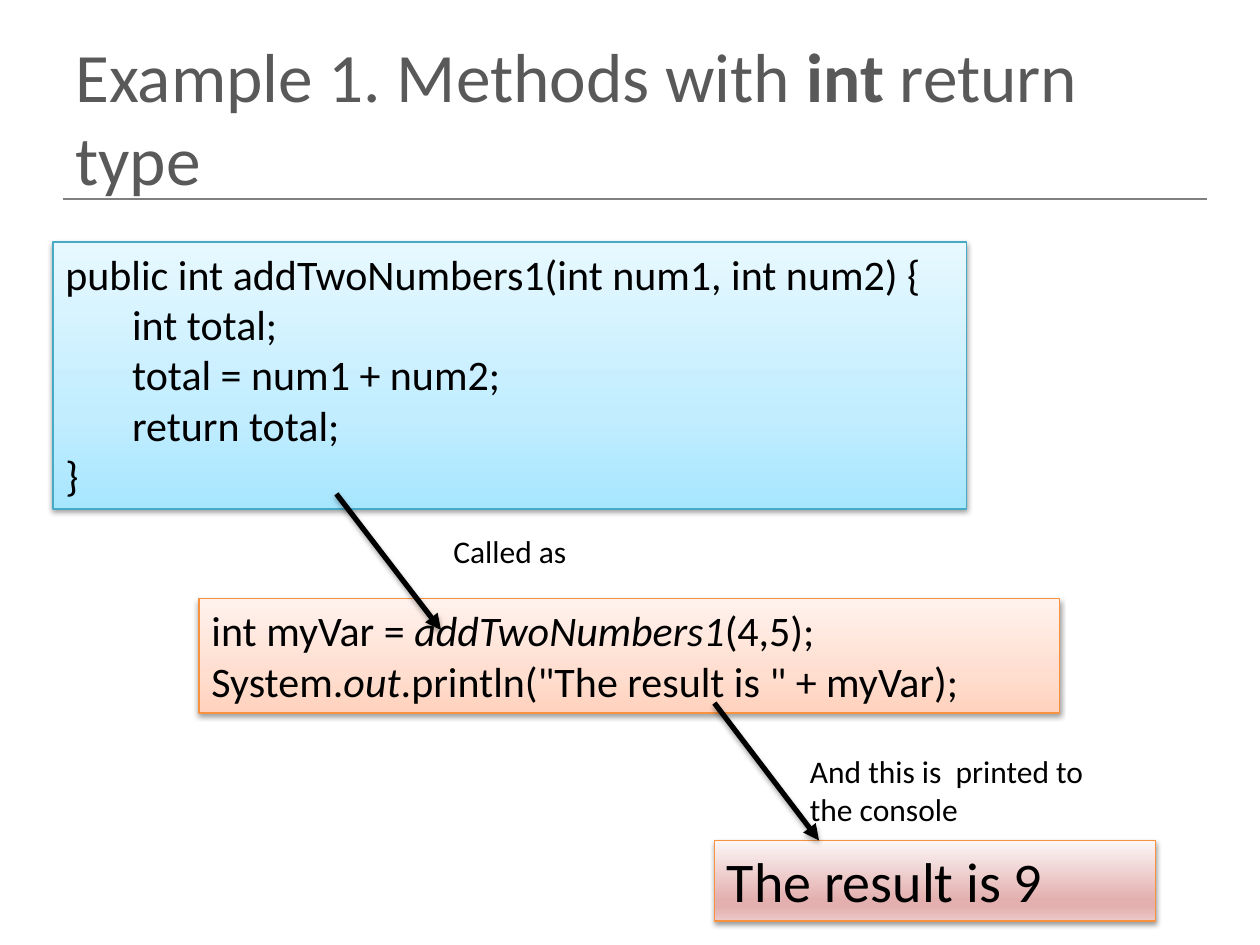
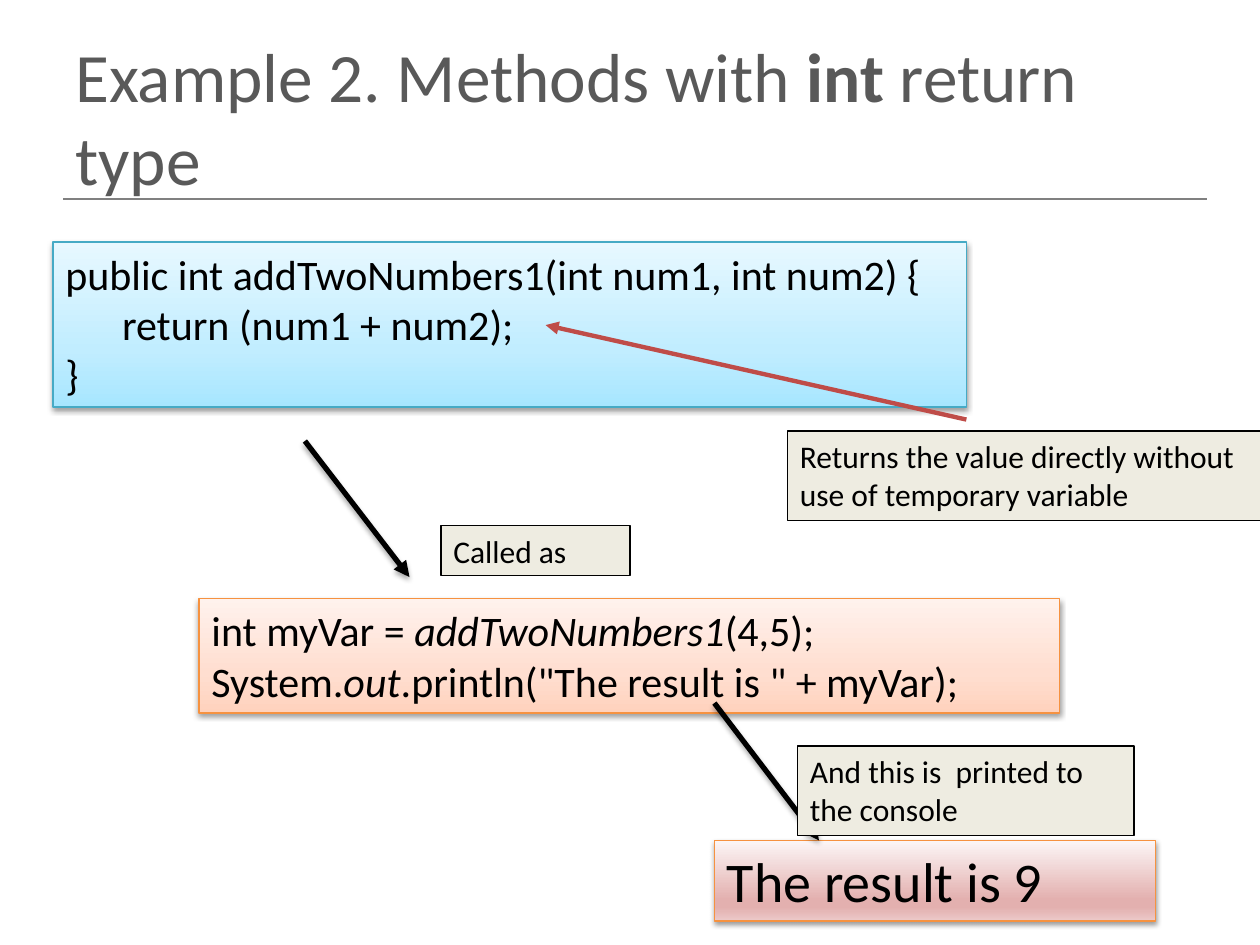
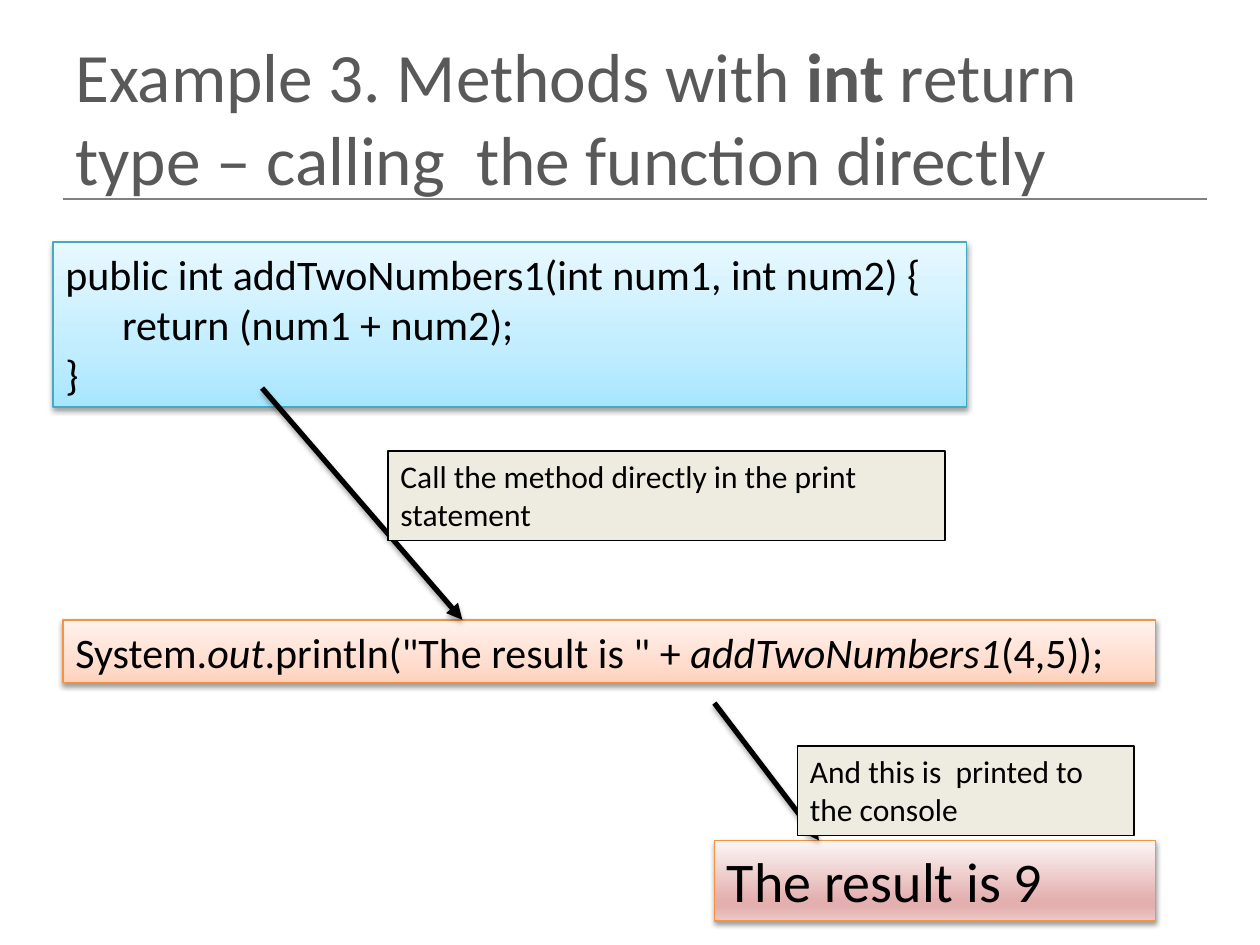
from lxml.etree import SubElement
from pptx import Presentation
from pptx.dml.color import RGBColor
from pptx.enum.shapes import MSO_CONNECTOR, MSO_SHAPE
from pptx.enum.text import MSO_ANCHOR, MSO_AUTO_SIZE, PP_ALIGN
from pptx.oxml.ns import qn
from pptx.util import Inches, Pt

# Shared look
FONT = "Calibri"
BLACK = RGBColor(0x00, 0x00, 0x00)
TITLE_GREY = RGBColor(0x59, 0x59, 0x59)
RULE_GREY = RGBColor(0x80, 0x80, 0x80)
NOTE_FILL = RGBColor(0xEE, 0xEC, 0xE1)
BLUE_LINE = RGBColor(0x46, 0xAA, 0xC5)
ORANGE_LINE = RGBColor(0xF6, 0x92, 0x40)
RED_LINE = RGBColor(0xBF, 0x4C, 0x48)

# Gradients: angle in degrees and (position in percent, colour) stops
BLUE_GRADIENT = 270, [(0, "A7E6FF"), (35, "C1EDFF"), (100, "E7F8FF")]
ORANGE_GRADIENT = 270, [(0, "FFD2BD"), (35, "FFDED0"), (100, "FFF2ED")]
RED_GRADIENT = 90, [(0, "FCF6F6"), (74, "E3B0AF"), (83, "E3B0AF"), (100, "ECCACA")]

# Code shared by the examples; asterisks enclose emphasised words
SIGNATURE = "public int addTwoNumbers1(int num1, int num2) {"
SHORT_METHOD = [SIGNATURE, "\treturn (num1 + num2);", "}"]
LONG_METHOD = [SIGNATURE, "\tint total;", "\ttotal = num1 + num2;", "\treturn total;", "}"]
CALL_WITH_VARIABLE = [
    "int myVar = *addTwoNumbers1*(4,5);",
    'System.*out*.println("The result is " + myVar);',
]
DIRECT_CALL = ['System.*out*.println("The result is " + *addTwoNumbers1*(4,5));']


def add_runs(paragraph, text, size, color=BLACK, emphasis="italic"):
    """Add text run by run, emphasising what stands between asterisks."""
    for index, part in enumerate(text.split("*")):
        run = paragraph.add_run()
        run.text = part
        run.font.name, run.font.size = FONT, Pt(size)
        run.font.color.rgb = color
        if index % 2:
            setattr(run.font, emphasis, True)


def write_lines(shape, lines, size, indent=0.0):
    """Write one paragraph per line; a leading tab asks for the indent."""
    frame = shape.text_frame
    frame.word_wrap = True
    frame.auto_size = MSO_AUTO_SIZE.SHAPE_TO_FIT_TEXT
    frame.vertical_anchor = MSO_ANCHOR.TOP
    for index, line in enumerate(lines):
        paragraph = frame.add_paragraph() if index else frame.paragraphs[0]
        paragraph.alignment = PP_ALIGN.LEFT
        if line.startswith("\t"):
            paragraph._p.get_or_add_pPr().set("marL", str(Inches(indent)))
        add_runs(paragraph, line.lstrip("\t"), size)


def add_gradient(shape, gradient):
    angle, stops = gradient
    fill = SubElement(shape.element.spPr, qn("a:gradFill"), rotWithShape="1")
    stop_list = SubElement(fill, qn("a:gsLst"))
    for position, color in stops:
        stop = SubElement(stop_list, qn("a:gs"), pos=str(position * 1000))
        SubElement(stop, qn("a:srgbClr"), val=color)
    SubElement(fill, qn("a:lin"), ang=str(angle * 60000), scaled="0")


def add_shadow(effects, distance, opacity):
    shadow = SubElement(effects, qn("a:outerShdw"), blurRad=str(Pt(3.1)),
                        dist=str(Pt(distance)), dir="5400000", rotWithShape="0")
    color = SubElement(shadow, qn("a:srgbClr"), val="000000")
    SubElement(color, qn("a:alpha"), val=str(opacity * 1000))


def add_box(slide, place, lines, size, line_color, gradient=None, indent=0.0):
    """Add a shadowed gradient box, or a plain note when no gradient is given."""
    box = slide.shapes.add_shape(MSO_SHAPE.RECTANGLE, *map(Inches, place))
    if gradient:
        add_gradient(box, gradient)
    else:
        box.fill.solid()
        box.fill.fore_color.rgb = NOTE_FILL
    box.line.color.rgb, box.line.width = line_color, Pt(0.75)
    box.shadow.inherit = False
    if gradient:
        add_shadow(box.element.spPr.find(qn("a:effectLst")), 1.6, 38)
    write_lines(box, lines, size, indent)


def add_line(slide, start, end, color, width):
    line = slide.shapes.add_connector(MSO_CONNECTOR.STRAIGHT, *map(Inches, start + end))
    line.line.color.rgb, line.line.width = color, Pt(width)
    effects = SubElement(line.element.spPr, qn("a:effectLst"))
    return line, effects


def add_arrow(slide, start, end, color=BLACK, width=3, shadow=True):
    arrow, effects = add_line(slide, start, end, color, width)
    SubElement(arrow.element.spPr.find(qn("a:ln")), qn("a:tailEnd"), type="triangle")
    if shadow:
        add_shadow(effects, 1.8, 35)


def add_note(slide, place, text):
    add_box(slide, place, [text], 18, BLACK)


def add_label(slide, place, text):
    label = slide.shapes.add_textbox(*map(Inches, place))
    write_lines(label, [text], 18)


def add_example(presentation, title, call_place, call, method_height, method, indent):
    """Start a slide with its title, rule, call, method and result boxes."""
    slide = presentation.slides.add_slide(presentation.slide_layouts[6])
    add_line(slide, (0.5, 1.58), (9.58, 1.58), RULE_GREY, 1)
    title_box = slide.shapes.add_textbox(*map(Inches, (0.5, 0.3, 9, 1.25)))
    frame = title_box.text_frame
    frame.word_wrap = True
    frame.vertical_anchor = MSO_ANCHOR.MIDDLE
    add_runs(frame.paragraphs[0], title, 39.6, TITLE_GREY, "bold")
    add_box(slide, call_place, call, 24, ORANGE_LINE, ORANGE_GRADIENT)
    add_box(slide, (0.42, 1.92, 7.25, method_height), method, 24,
            BLUE_LINE, BLUE_GRADIENT, indent)
    add_box(slide, (5.67, 6.67, 3.5, 0.64), ["The result is 9"], 32,
            ORANGE_LINE, RED_GRADIENT)
    return slide


def add_steps(slide, call_arrow, call_place, call_text, add_caption):
    """Add the arrows from method to call to result, with their captions."""
    add_arrow(slide, *call_arrow)
    add_caption(slide, call_place, call_text)
    add_arrow(slide, (5.67, 5.58), (6.5, 6.67))
    add_caption(slide, (6.33, 5.92, 2.67, 0.71), "And this is  printed to the console")


def main():
    presentation = Presentation()
    presentation.slide_width, presentation.slide_height = Inches(10), Inches(7.5)
    variable_call_place = (1.58, 4.75, 6.83, 0.91)
    called_as_place = (3.5, 4.17, 1.5, 0.4)

    # Example 1: temporary variable
    slide = add_example(presentation, "Example 1. Methods with *int* return type",
                        variable_call_place, CALL_WITH_VARIABLE, 2.12, LONG_METHOD, 0.53)
    add_steps(slide, ((2.67, 3.92), (3.5, 5)), called_as_place, "Called as", add_label)

    # Example 2: value returned directly
    slide = add_example(presentation, "Example 2. Methods with *int* return type",
                        variable_call_place, CALL_WITH_VARIABLE, 1.31, SHORT_METHOD, 0.45)
    add_steps(slide, ((2.42, 3.5), (3.25, 4.58)), called_as_place, "Called as", add_note)
    add_arrow(slide, (7.67, 3.33), (4.33, 2.58), RED_LINE, 2.5, shadow=False)
    add_note(slide, (6.25, 3.42, 3.92, 0.71),
             "Returns the value directly without use of temporary variable")

    # Example 3: method called in the print statement
    slide = add_example(
        presentation,
        "Example 3. Methods with *int* return type – calling  the function directly",
        (0.5, 4.92, 8.67, 0.5), DIRECT_CALL, 1.31, SHORT_METHOD, 0.45)
    add_steps(slide, ((2.08, 3.08), (3.67, 4.92)), (3.08, 3.58, 4.42, 0.71),
              "Call the method directly in the print statement", add_note)

    presentation.save("out.pptx")


if __name__ == "__main__":
    main()
